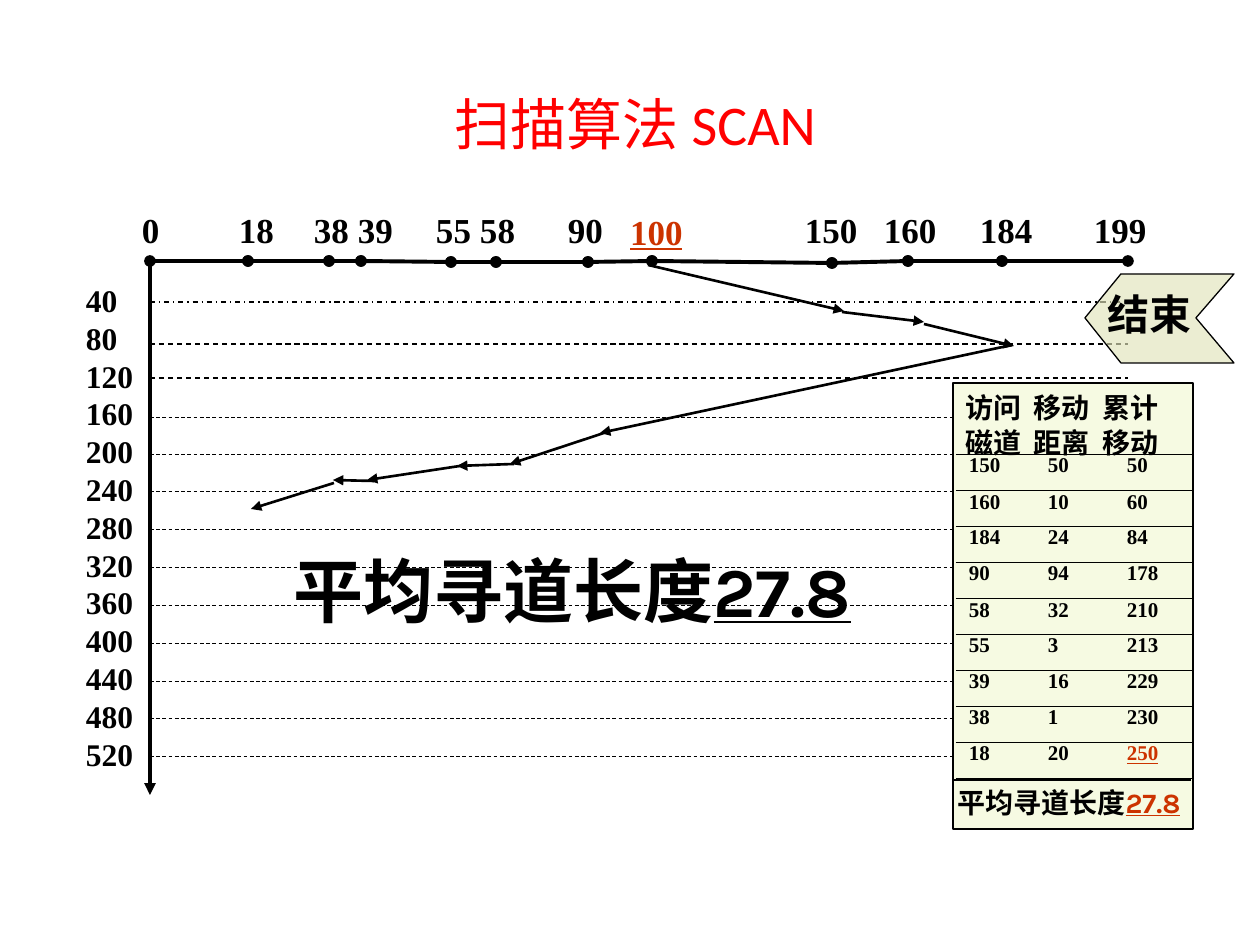
"""Build the SCAN disk scheduling slide."""
import pptx
import pptx.util
import pptx.dml.color
import pptx.enum.dml
import pptx.enum.shapes
import pptx.enum.text
import pptx.oxml.ns
from lxml import etree

PX = 914400 // 126
SERIF = "Times New Roman"
INK, RED, HOT = "000000", "FF0000", "CC3300"
PALE, SAND = "F6FAE2", "E1E4BA"
INSET = (13, 6)

TITLE = "扫描算法 SCAN"
MEAN, VALUE = "平均寻道长度", "27.8"
TRACKS = [("0", 142), ("18", 239), ("38", 314), ("39", 358), ("55", 436), ("58", 480),
          ("90", 568), ("150", 805), ("160", 884), ("184", 980), ("199", 1094)]
DOTS = [(150, 261), (248, 261), (329, 261), (361, 261), (451, 262), (496, 262),
        (588, 262), (652, 261), (832, 263), (908, 261), (1002, 261), (1128, 261)]
LEVELS = [302, 344, 378, 417, 454, 491, 529, 568, 606, 644, 682, 719, 757]
MOVES = [(648, 265, 844, 311), (842, 312, 924, 322), (924, 324, 1014, 346),
         (1012, 345, 600, 433), (604, 433, 510, 464), (514, 464, 457, 466),
         (460, 466, 367, 480), (374, 481, 333, 480), (334, 483, 251, 509)]
HEADS = ["访问\t移动\t累计", "磁道\t距离\t移动"]
ROWS = [(150, 50, 50), (160, 10, 60), (184, 24, 84), (90, 94, 178), (58, 32, 210),
        (55, 3, 213), (39, 16, 229), (38, 1, 230), (18, 20, 250)]
FLAG = [(1234, 363), (1121, 363), (1085, 318), (1121, 274), (1234, 274), (1196, 318)]

deck = pptx.Presentation()
deck.slide_width, deck.slide_height = 1260 * PX, 945 * PX
slide = deck.slides.add_slide(deck.slide_layouts[6])
shapes = slide.shapes


def rgb(code):
    """Return the colour for a hex string."""
    return pptx.dml.color.RGBColor.from_string(code)


def sub(parent, tag, **attrs):
    """Append a drawing element."""
    return etree.SubElement(parent, pptx.oxml.ns.qn("a:" + tag), attrs)


def style(para, size, font, color=INK, bold=True, under=None):
    """Set the font of a paragraph."""
    face = para.font
    face.size, face.name, face.bold = pptx.util.Pt(size), font, bold
    face.underline = under
    face.color.rgb = rgb(color)


def stops(para, places):
    """Give a paragraph left tab stops."""
    tabs = sub(para._p.get_or_add_pPr(), "tabLst")
    for place in places:
        sub(tabs, "tab", pos=str(place * PX), algn="l")


def fill_text(frame, lines, size, font, inset=INSET, tabs=(), space=None, **look):
    """Write lines of equal look into a text frame."""
    frame.word_wrap = True
    frame.vertical_anchor = pptx.enum.text.MSO_ANCHOR.TOP
    frame.margin_left = frame.margin_right = inset[0] * PX
    frame.margin_top = frame.margin_bottom = inset[1] * PX
    for i, line in enumerate(lines):
        para = frame.add_paragraph() if i else frame.paragraphs[0]
        para.add_run().text = line
        para.alignment = pptx.enum.text.PP_ALIGN.LEFT
        if space:
            para.line_spacing = space
        if tabs:
            stops(para, tabs)
        style(para, size, font, **look)
    return frame.paragraphs[0]


def add_text(area, lines, size, font, **look):
    """Add a text box and return its first paragraph."""
    box = shapes.add_textbox(*(v * PX for v in area))
    return fill_text(box.text_frame, lines, size, font, **look)


def add_line(ends, width, dash=None, head=None, tail=None):
    """Add a straight black line."""
    kind = pptx.enum.shapes.MSO_CONNECTOR.STRAIGHT
    link = shapes.add_connector(kind, *(v * PX for v in ends))
    link.line.width = pptx.util.Pt(width)
    link.line.color.rgb = rgb(INK)
    if dash:
        link.line.dash_style = dash
    for tag, end in (("headEnd", head), ("tailEnd", tail)):
        if end:
            sub(link.line._ln, tag, type=end)
    sub(link._element.spPr, "effectLst")


def paint(shape, color, width):
    """Fill and outline a shape without shadow."""
    shape.shadow.inherit = False
    shape.fill.solid()
    shape.fill.fore_color.rgb = rgb(color)
    shape.line.color.rgb = rgb(INK)
    shape.line.width = pptx.util.Pt(width)


def add_row(values, top):
    """Add one ruled row of the visit log."""
    frame = shapes.add_table(1, 3, 956 * PX, top * PX, 237 * PX, 36 * PX)
    grid = frame.table
    grid.first_row = grid.horz_banding = False
    for cell, value in zip(grid.rows[0].cells, values):
        last = value == ROWS[-1][-1]
        fill_text(cell.text_frame, [str(value)], 12, SERIF, space=0.7,
                  color=HOT if last else INK, under=last)
        cell.margin_left = cell.margin_right = INSET[0] * PX
        cell.margin_top = cell.margin_bottom = INSET[1] * PX
        props = cell._tc.get_or_add_tcPr()
        for side in ("lnL", "lnR"):
            sub(sub(props, side, w="0"), "noFill")
        for side in ("lnT", "lnB"):
            edge = sub(sub(props, side, w="5715"), "solidFill")
            sub(edge, "srgbClr", val=INK)
        cell.fill.background()


def add_mean(area, size, color):
    """Add the mean seek length with its value underlined."""
    para = add_text(area, [MEAN], size, "Karla")
    run = para.add_run()
    run.text = VALUE
    run.font.underline = True
    run.font.color.rgb = rgb(color)


title = add_text((42, 84, 1187, 819), [TITLE], 32, "Calibri", color=RED, bold=False)
title.alignment = pptx.enum.text.PP_ALIGN.CENTER

start = TRACKS[0][1]
add_text((start - 7, 204, 1040, 59), ["\t".join(name for name, _ in TRACKS)], 20, SERIF,
         inset=(7, 4), tabs=[x - start for _, x in TRACKS[1:]], space=pptx.util.Pt(24))
for a, b in zip(DOTS, DOTS[1:]):
    add_line(a + b, 2.25, head="oval", tail="oval")
add_line((150, 265, 150, 795), 2.25, tail="triangle")

dashes = pptx.enum.dml.MSO_LINE
for i, y in enumerate(LEVELS):
    add_line((150, y, 1128, y), 0.5 if i > 2 else 0.75, dashes.DASH if i else dashes.DASH_DOT)
add_text((73, 275, 89, 528), [str(40 * i + 40) for i in range(len(LEVELS))], 18, SERIF,
         space=pptx.util.Pt(21.6))

panel = shapes.add_shape(pptx.enum.shapes.MSO_SHAPE.RECTANGLE,
                         *(v * PX for v in (953, 383, 240, 446)))
paint(panel, PALE, 1.5)
fill_text(panel.text_frame, HEADS, 16, SERIF, tabs=(68, 137), space=1.04)
add_line((953, 780, 1191, 780), 1.5)
for i, row in enumerate(ROWS):
    add_row(row, 454 + 36 * i)
add_mean((945, 780, 258, 47), 16, HOT)

pen = shapes.build_freeform(*FLAG[0], scale=PX)
pen.add_line_segments(FLAG[1:], close=True)
flag = pen.convert_to_shape()
paint(flag, SAND, 0.75)
tint = flag._element.spPr.find(".//" + pptx.oxml.ns.qn("a:srgbClr"))
sub(tint, "alpha", val="65000")
add_text((1095, 283, 129, 63), ["结束"], 24, "Arial")

add_mean((281, 542, 635, 97), 40, INK)
for move in MOVES:
    add_line(move, 1.5, tail="triangle")
add_text((617, 204, 80, 55), ["100"], 20, SERIF, color=HOT, under=True,
         space=pptx.util.Pt(24))

deck.save("out.pptx")
